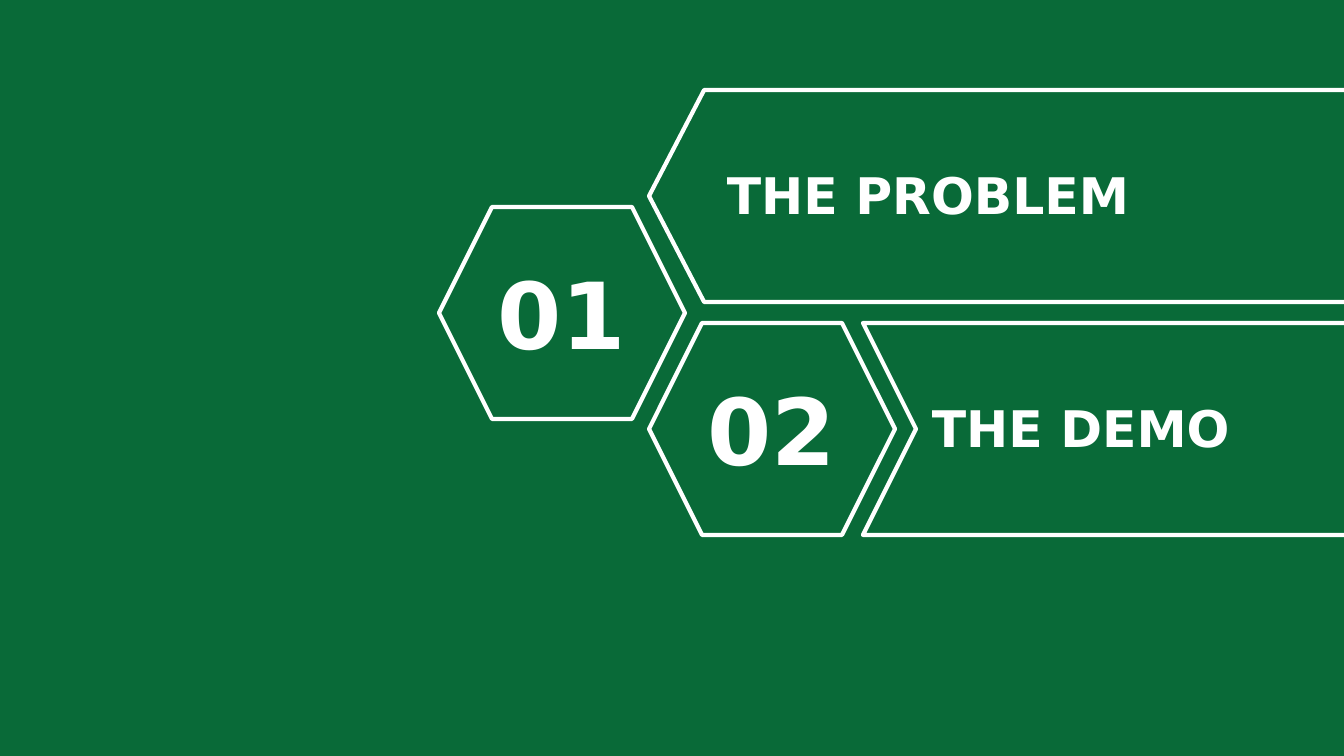
from pptx import Presentation, util as u
from pptx.dml.color import RGBColor
from pptx.enum import shapes, text

COLORS = {"green": "096A38", "white": "FFFFFF"}
PX = 914400 / 100.8
HEX_W, ROW_H = 246, 212
LABEL_H = 72


def px(*values):
    """Turn whole pixels into EMU lengths."""
    return [u.Emu(round(v * PX)) for v in values]


def write(tf, words, size, **layout):
    """Put one bold white line into a text frame."""
    for name, value in layout.items():
        setattr(tf, name, value)
    p = tf.paragraphs[0]
    r = p.add_run()
    r.text = words
    for name, value in {"name": "DejaVu Sans", "size": u.Pt(size), "bold": True}.items():
        setattr(r.font, name, value)
    r.font.color.rgb = RGBColor.from_string(COLORS["white"])
    return p


def outline(s, kind, box):
    """Add an unfilled shape with a white border."""
    sp = s.shapes.add_shape(kind, *px(*box))
    sp.shadow.inherit = False
    sp.fill.background()
    sp.line.color.rgb = RGBColor.from_string(COLORS["white"])
    sp.line.width = u.Pt(3)
    return sp


def number_cell(s, box, number):
    """Draw a hexagon with a section number."""
    sp = outline(s, shapes.MSO_SHAPE.HEXAGON, box)
    p = write(sp.text_frame, number, 66, vertical_anchor=text.MSO_ANCHOR.MIDDLE)
    p.alignment = text.PP_ALIGN.CENTER


def banner(s, box, kind, point, turn, label, indent, label_w):
    """Draw a pointed banner with its section title at mid-height."""
    left, top, _, height = box
    sp = outline(s, kind, box)
    sp.adjustments[0] = point
    sp.rotation = turn
    label_box = (left + indent, top + (height - LABEL_H) // 2 - 1, label_w, LABEL_H)
    tb = s.shapes.add_textbox(*px(*label_box))
    write(tb.text_frame, label, 36, word_wrap=True,
          auto_size=text.MSO_AUTO_SIZE.SHAPE_TO_FIT_TEXT)


def agenda_slide(prs):
    """Build the agenda of numbered sections."""
    s = prs.slides.add_slide(prs.slide_layouts[6])
    s.background.fill.solid()
    s.background.fill.fore_color.rgb = RGBColor.from_string(COLORS["green"])
    number_cell(s, (439, 207, HEX_W, ROW_H), "01")
    banner(s, (649, 90, 785, ROW_H), shapes.MSO_SHAPE.PENTAGON, 0.26, 180,
           "THE PROBLEM", 68, 489)
    number_cell(s, (649, 323, HEX_W, ROW_H), "02")
    banner(s, (863, 323, 668, ROW_H), shapes.MSO_SHAPE.CHEVRON, 0.25, 0,
           "THE DEMO", 59, 462)


prs = Presentation()
prs.slide_width, prs.slide_height = px(1344, 756)
agenda_slide(prs)
prs.save("out.pptx")
